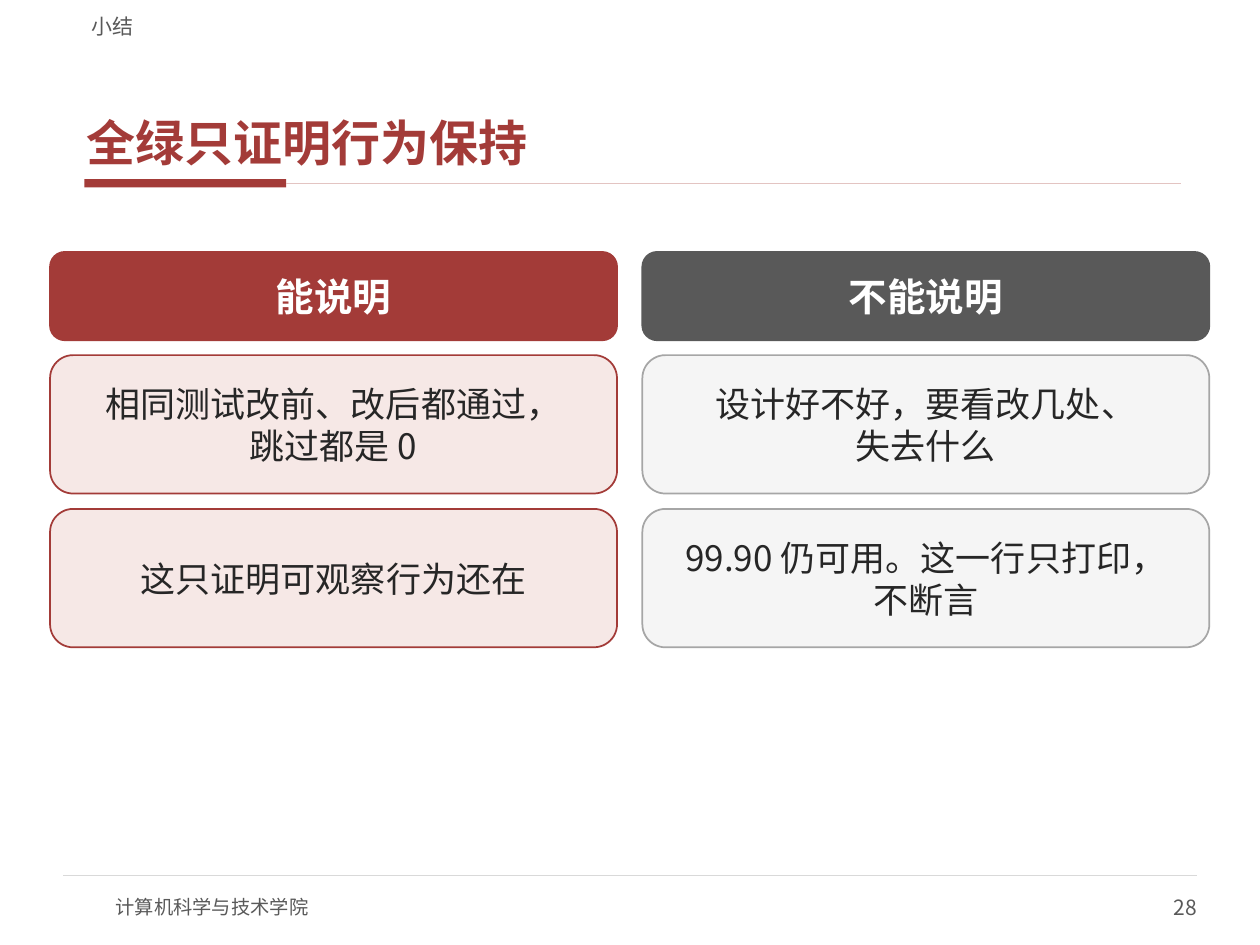
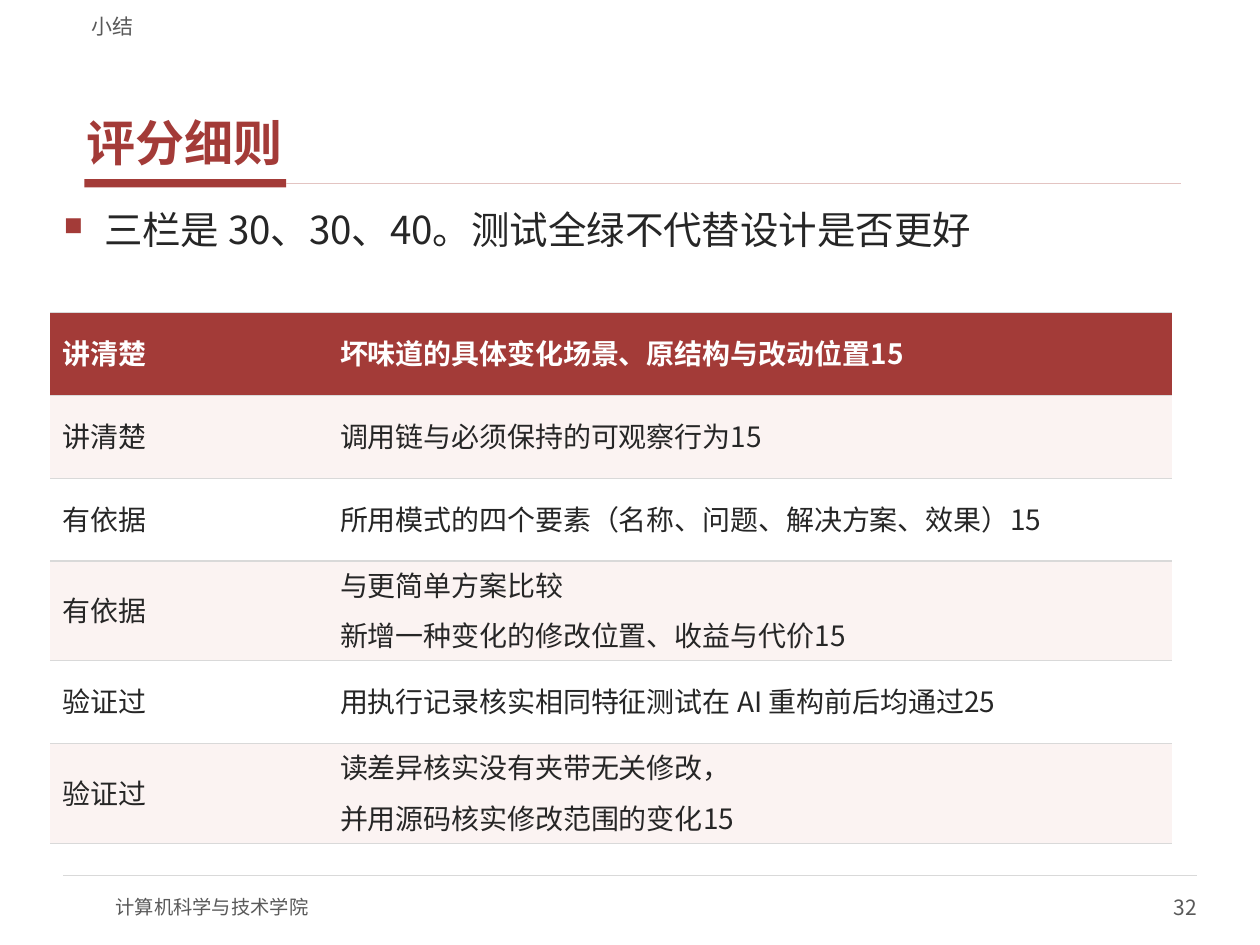
from lxml.etree import SubElement
from pptx import Presentation
from pptx.dml.color import RGBColor
from pptx.enum.shapes import MSO_CONNECTOR, MSO_SHAPE
from pptx.enum.text import MSO_ANCHOR, PP_ALIGN
from pptx.oxml.ns import qn
from pptx.util import Cm, Pt

# Shared style
FONT = "Noto Sans CJK SC"
RED, PALE_RED, ROSE, BAND = "A33B38", "F6E8E6", "E3C4C2", "FBF3F2"
INK, GRAY, MID_GRAY, RULE, PALE_GRAY = "262626", "595959", "A6A6A6", "D9D9D9", "F5F5F5"
WHITE = "FFFFFF"
CONTENT_LEFT = 1.01


def color(value):
    return RGBColor.from_string(value)


def child(parent, tag, **attributes):
    return SubElement(parent, qn(tag), attributes)


def format_text(frame, size, tint, bold=False, align=None):
    for para in frame.paragraphs:
        para.alignment = align
        for span in para.runs:
            font = span.font
            font.size, font.bold, font.name = Pt(size), bold, FONT
            font.color.rgb = color(tint)
            child(font._element, "a:ea", typeface=FONT)


def set_frame(frame, text, insets, anchor):
    frame.text = text
    frame.word_wrap = True
    frame.vertical_anchor = anchor
    frame.margin_left = frame.margin_right = Cm(insets[0])
    frame.margin_top = frame.margin_bottom = Cm(insets[1])


def add_text(page, text, place, size, tint, bold=False, align=None,
             insets=(0, 0), anchor=MSO_ANCHOR.MIDDLE):
    box = page.shapes.add_textbox(*map(Cm, place))
    set_frame(box.text_frame, text, insets, anchor)
    format_text(box.text_frame, size, tint, bold, align)
    return box.text_frame


def add_block(page, kind, place, fill, outline=None):
    block = page.shapes.add_shape(kind, *map(Cm, place))
    block.shadow.inherit = False
    block.fill.solid()
    block.fill.fore_color.rgb = color(fill)
    if outline:
        block.line.color.rgb = color(outline)
        block.line.width = Pt(1)
    else:
        block.line.fill.background()
    return block


def add_card(page, text, place, fill, outline, size, tint, bold=False):
    card = add_block(page, MSO_SHAPE.ROUNDED_RECTANGLE, place, fill, outline)
    set_frame(card.text_frame, text, (0.2, 0.1), MSO_ANCHOR.MIDDLE)
    format_text(card.text_frame, size, tint, bold, PP_ALIGN.CENTER)
    card.text_frame.paragraphs[0].line_spacing = Pt(size * 1.2)


def add_rule(page, left, right, top, tint, width):
    rule = page.shapes.add_connector(
        MSO_CONNECTOR.STRAIGHT, Cm(left), Cm(top), Cm(right), Cm(top))
    rule.line.color.rgb = color(tint)
    rule.line.width = Pt(width)
    child(rule._element.spPr, "a:effectLst")


def add_bullet(page, text, place):
    frame = add_text(page, text, place, 22, INK, insets=(0.15, 0.05),
                     anchor=MSO_ANCHOR.TOP)
    properties = frame.paragraphs[0]._p.get_or_add_pPr()
    properties.set("marL", str(Cm(0.81)))
    properties.set("indent", str(-Cm(0.81)))
    child(child(properties, "a:buClr"), "a:srgbClr", val=RED)
    child(properties, "a:buSzPct", val="67000")
    child(properties, "a:buChar", char="■")


def set_borders(cell):
    properties = cell._tc.get_or_add_tcPr()
    for side in ("L", "R"):
        child(child(properties, f"a:ln{side}", w="0"), "a:noFill")
    for side in ("T", "B"):
        border = child(properties, f"a:ln{side}", w=str(Pt(0.75)))
        child(child(border, "a:solidFill"), "a:srgbClr", val=RULE)


def fill_cell(cell, text, fill, tint, bold):
    set_borders(cell)
    cell.fill.solid()
    cell.fill.fore_color.rgb = color(fill)
    cell.vertical_anchor = MSO_ANCHOR.TOP if "\n" in text else MSO_ANCHOR.MIDDLE
    cell.text_frame.text = text
    format_text(cell.text_frame, 16, tint, bold)
    for p, para in enumerate(cell.text_frame.paragraphs):
        para.line_spacing = 0.9
        para.space_before = Pt(6 if p else 0)
        para.space_after = Pt(2)


def add_score_table(page, rows, left, top, widths, one_line, two_lines):
    heights = [two_lines if "\n" in row[-1] else one_line for row in rows]
    table = page.shapes.add_table(
        len(rows), len(widths), Cm(left), Cm(top),
        Cm(sum(widths)), Cm(sum(heights))).table
    table.first_row = table.horz_banding = False
    for column, width in zip(table.columns, widths):
        column.width = Cm(width)
    for r, row in enumerate(rows):
        table.rows[r].height = Cm(heights[r])
        header = r == 0
        fill = RED if header else BAND if r % 2 else WHITE
        for c, text in enumerate(row):
            fill_cell(table.cell(r, c), text, fill, WHITE if header else INK, header)


def add_page(deck, title, number):
    page = deck.slides.add_slide(deck.slide_layouts[6])
    # Title rule and footer
    add_block(page, MSO_SHAPE.RECTANGLE, (1.7, 3.61, 4.07, 0.17), RED)
    add_rule(page, 5.77, 23.8, 3.7, ROSE, 1)
    add_rule(page, 1.27, 24.13, 17.65, RULE, 0.75)
    add_text(page, "计算机科学与技术学院", (2.33, 17.78, 10.16, 1.02), 11, GRAY)
    add_text(page, str(number), (19.05, 17.78, 5.08, 1.02), 12, GRAY,
             align=PP_ALIGN.RIGHT)
    # Section name and title
    add_text(page, "小结", (1.6, 0.1, 22.23, 0.69), 12, GRAY,
             insets=(0.25, 0), anchor=MSO_ANCHOR.BOTTOM)
    add_text(page, title, (1.6, 0.84, 22.23, 2.67), 28, RED, True,
             insets=(0.15, 0.05), anchor=MSO_ANCHOR.BOTTOM)
    return page


def build_evidence_page(deck):
    page = add_page(deck, "全绿只证明行为保持", 28)
    columns = [
        ("能说明", RED, PALE_RED, RED,
         ["相同测试改前、改后都通过，\v跳过都是 0", "这只证明可观察行为还在"]),
        ("不能说明", GRAY, PALE_GRAY, MID_GRAY,
         ["设计好不好，要看改几处、\v失去什么",
          "99.90 仍可用。这一行只打印，\v不断言"]),
    ]
    for c, (heading, heading_fill, fill, outline, claims) in enumerate(columns):
        left = CONTENT_LEFT + c * 11.94
        add_card(page, heading, (left, 5.08, 11.43, 1.78),
                 heading_fill, heading_fill, 22, WHITE, True)
        for r, claim in enumerate(claims):
            add_card(page, claim, (left, 7.16 + r * 3.1, 11.43, 2.79),
                     fill, outline, 20, INK)


def build_scoring_page(deck):
    page = add_page(deck, "评分细则", 32)
    add_bullet(page, "三栏是 30、30、40。测试全绿不代替设计是否更好",
               (1.14, 4.11, 23.11, 1.98))
    rows = [
        ("讲清楚", "坏味道的具体变化场景、原结构与改动位置15"),
        ("讲清楚", "调用链与必须保持的可观察行为15"),
        ("有依据", "所用模式的四个要素（名称、问题、解决方案、效果）15"),
        ("有依据", "与更简单方案比较\n新增一种变化的修改位置、收益与代价15"),
        ("验证过", "用执行记录核实相同特征测试在 AI 重构前后均通过25"),
        ("验证过", "读差异核实没有夹带无关修改，\n并用源码核实修改范围的变化15"),
    ]
    add_score_table(page, rows, CONTENT_LEFT, 6.3, (5.59, 17.02), 1.67, 2.01)


def main():
    deck = Presentation()
    deck.slide_width, deck.slide_height = Cm(25.4), Cm(19.05)
    build_evidence_page(deck)
    build_scoring_page(deck)
    deck.save("out.pptx")


if __name__ == "__main__":
    main()
